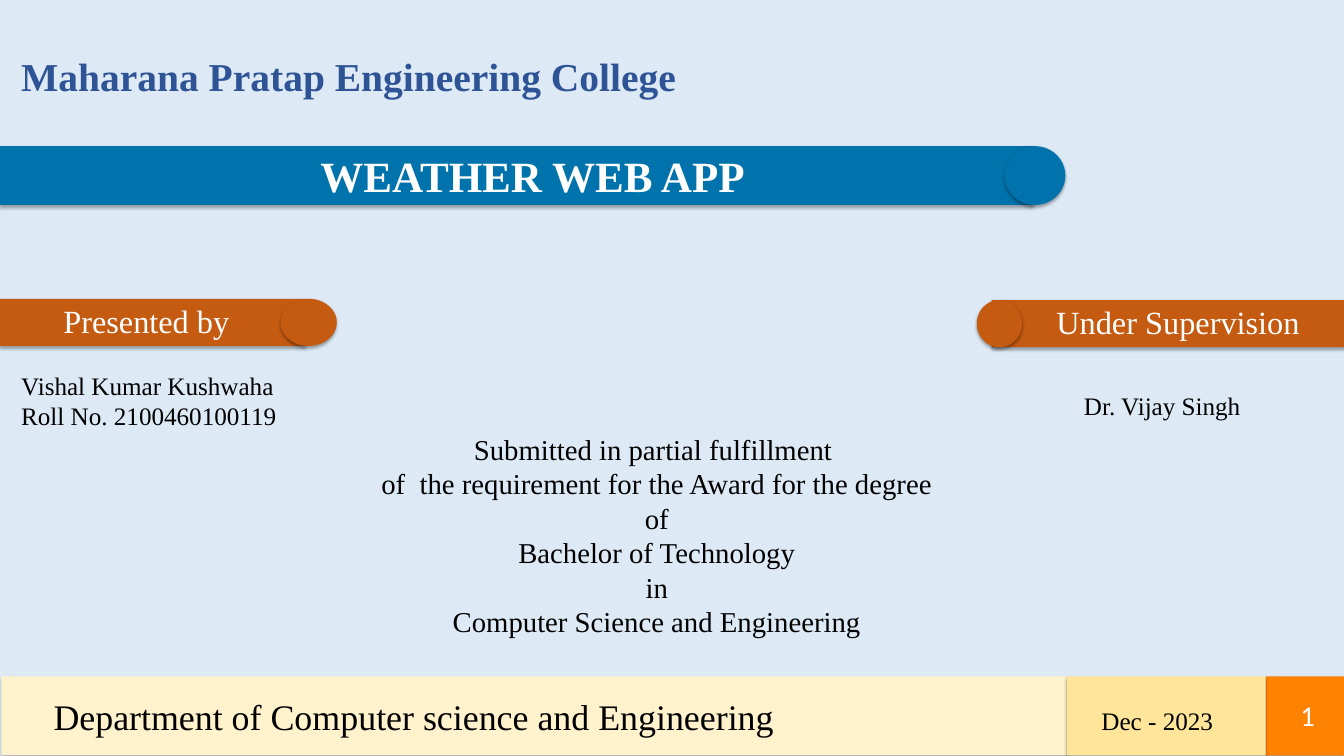
from lxml import etree
from pptx import Presentation
from pptx.dml.color import RGBColor
from pptx.enum.shapes import MSO_SHAPE as Preset
from pptx.enum.text import MSO_ANCHOR as Anchor, MSO_AUTO_SIZE as AutoSize, PP_ALIGN as Align
from pptx.oxml.ns import qn
from pptx.util import Inches, Pt

WIDTH, HEIGHT = 20.79, 11.69
BLUE, ORANGE, BLACK, WHITE = "0073AC", "C55A11", "000000", "FFFFFF"


def colour(hex_text):
    """Turn a hex string into a colour."""
    return RGBColor.from_string(hex_text)


def assign(target, values):
    """Set every attribute named in a dict."""
    for name, value in values.items():
        setattr(target, name, value)


class CoverPage:
    """Style and current slide of the project cover."""

    font = "Times New Roman"
    insets = (0.1, 0.05, 0.1, 0.05)

    def __init__(self, deck, background):
        """Add a title and content slide with a plain background."""
        self.page = deck.slides.add_slide(deck.slide_layouts[1])
        self.page.background.fill.solid()
        self.page.background.fill.fore_color.rgb = colour(background)

    def place(self, shape, box):
        """Move a shape to left, top, width and height in inches."""
        assign(shape, dict(zip(("left", "top", "width", "height"), map(Inches, box))))

    def paint(self, shape, fill):
        """Fill a shape and give it the soft lower shadow."""
        shape.fill.solid()
        shape.fill.fore_color.rgb = colour(fill)
        shape.line.fill.background()
        shape.shadow.inherit = False
        effects = shape._element.spPr.find(qn("a:effectLst"))
        shadow = etree.SubElement(effects, qn("a:outerShdw"), blurRad="44450", dist="27940",
                                  dir="5400000", algn="ctr", rotWithShape="0")
        tone = etree.SubElement(shadow, qn("a:srgbClr"), val=BLACK)
        etree.SubElement(tone, qn("a:alpha"), val="32000")

    def set_text(self, shape, lines, size, ink=BLACK, bold=False, align=Align.LEFT,
                 anchor=Anchor.TOP, insets=insets, font=font):
        """Put one unbulleted paragraph per line into a shape."""
        frame = shape.text_frame
        left, top, right, bottom = map(Inches, insets)
        assign(frame, {"word_wrap": True, "auto_size": AutoSize.NONE, "vertical_anchor": anchor,
                       "margin_left": left, "margin_top": top,
                       "margin_right": right, "margin_bottom": bottom})
        for index, line in enumerate(lines):
            para = frame.add_paragraph() if index else frame.paragraphs[0]
            assign(para, {"alignment": align, "space_before": Pt(0)})
            properties = para._p.get_or_add_pPr()
            properties.set("marL", "0")
            properties.set("indent", "0")
            etree.SubElement(properties, qn("a:buNone"))
            span = para.add_run()
            span.text = line
            assign(span.font, {"name": font, "size": Pt(size), "bold": bold})
            span.font.color.rgb = colour(ink)

    def panel(self, box, fill, preset=Preset.RECTANGLE):
        """Add a filled preset shape."""
        shape = self.page.shapes.add_shape(preset, *map(Inches, box))
        self.paint(shape, fill)
        return shape

    def label(self, box, lines, size, **style):
        """Add a text box."""
        self.set_text(self.page.shapes.add_textbox(*map(Inches, box)), lines, size, **style)

    def title(self, box, text, fill):
        """Turn the title placeholder into the main banner."""
        shape = self.page.shapes.title
        self.place(shape, box)
        self.paint(shape, fill)
        self.set_text(shape, [text], 48, WHITE, True, Align.CENTER, Anchor.MIDDLE, (0.5, 0, 0, 0))

    def body(self, box, lines):
        """Fill the body placeholder with centred lines."""
        shape = self.page.placeholders[1]
        self.place(shape, box)
        self.set_text(shape, lines, 32, align=Align.CENTER)

    def ribbon(self, bar, cap, text, indent):
        """Add a heading bar with a round end."""
        shape = self.panel(bar, ORANGE)
        self.set_text(shape, [text], 36, WHITE, insets=(indent, 0.04, 0, 0))
        self.panel(cap, ORANGE, Preset.OVAL)


def main():
    """Build the cover and save it."""
    deck = Presentation()
    assign(deck, {"slide_width": Inches(WIDTH), "slide_height": Inches(HEIGHT)})
    cover = CoverPage(deck, "DDEAF6")

    cover.title((0, 2.26, 15.98, 0.91), "WEATHER WEB APP", BLUE)
    cover.panel((15.54, 2.26, 0.94, 0.91), BLUE, Preset.OVAL)
    cover.body((5.76, 6.62, 8.8, 3.33), [
        "Submitted in partial fulfillment ",
        "of  the requirement for the Award for the degree of",
        "Bachelor of Technology",
        "in",
        "Computer Science and Engineering",
    ])
    cover.label((0.23, 0.76, 12.33, 0.84), ["Maharana Pratap Engineering College"], 44,
                ink="2F5496", bold=True)

    cover.ribbon((0, 4.62, 4.73, 0.73), (4.34, 4.62, 0.87, 0.73), "Presented by", 0.98)
    cover.ribbon((15.34, 4.64, WIDTH - 15.34, 0.73), (15.11, 4.64, 0.7, 0.73),
                 "Under Supervision", 1)
    cover.label((0.23, 5.67, 4.83, 1.35), ["Vishal Kumar Kushwaha", "Roll No. 2100460100119"], 28)
    cover.label((16.67, 5.99, 3.47, 0.57), ["Dr. Vijay Singh"], 28)

    footer = [(0.02, 16.5, "FFF2CC"), (19.58, WIDTH, "FF8200"), (16.5, 19.58, "FEE599")]
    for left, right, fill in footer:
        cover.panel((left, 10.46, right - left, 1.22), fill)
    cover.label((16.94, 10.86, 2.45, 0.57), ["Dec - 2023"], 28)
    cover.label((0.73, 10.69, 12.33, 0.77), ["Department of Computer science and Engineering"], 40)
    cover.label((19.81, 10.84, 0.63, 0.42), ["1"], 32, ink=WHITE, align=Align.RIGHT,
                anchor=Anchor.MIDDLE, font="Calibri")
    deck.save("out.pptx")


if __name__ == "__main__":
    main()
